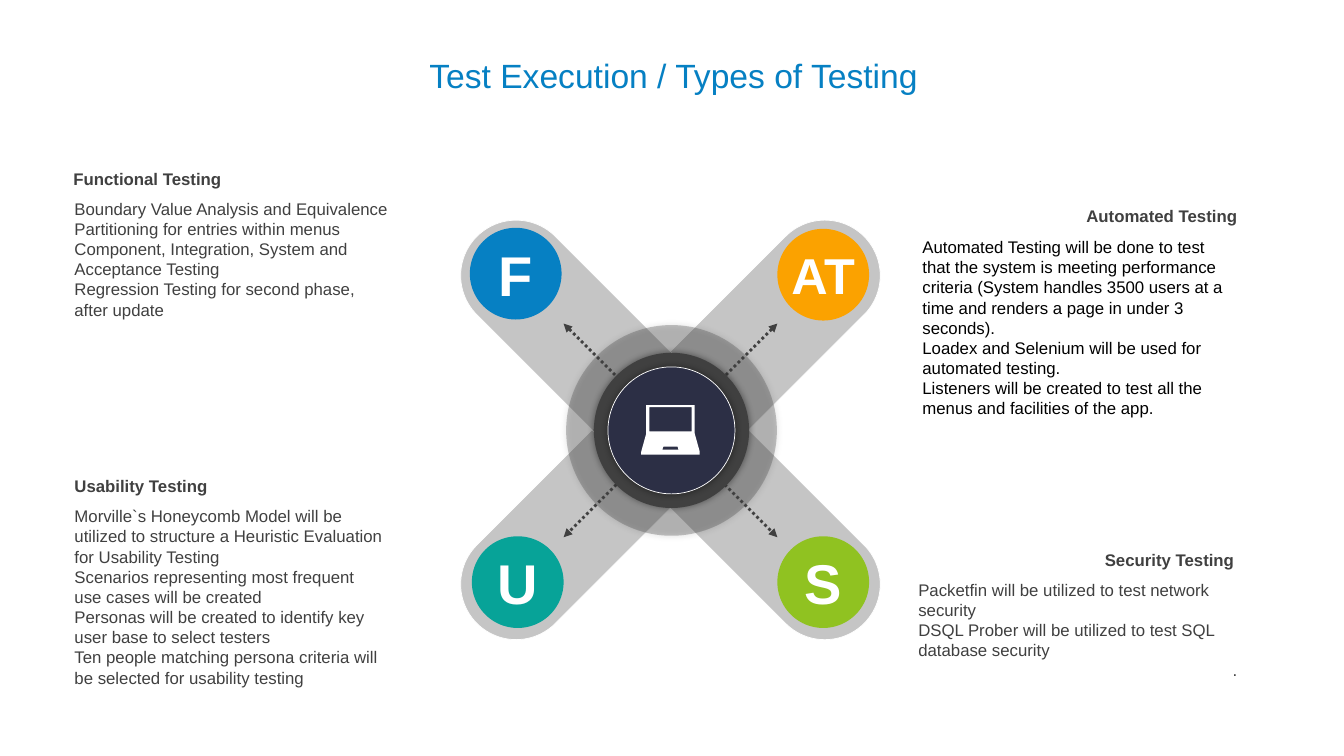
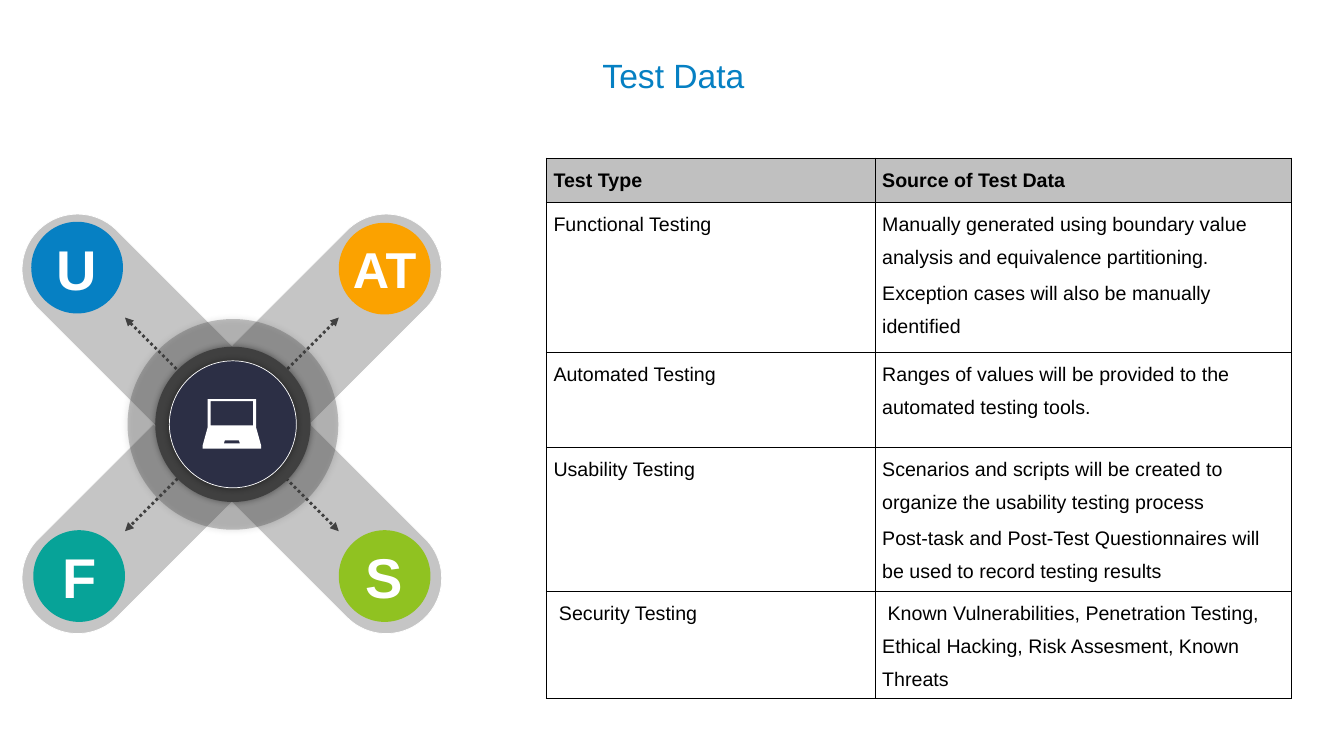
from lxml.etree import SubElement
from pptx import Presentation
from pptx.dml.color import RGBColor
from pptx.enum.dml import MSO_LINE
from pptx.enum.shapes import MSO_CONNECTOR, MSO_SHAPE as SHAPE
from pptx.enum.text import MSO_ANCHOR as ANCHOR, PP_ALIGN as ALIGN
from pptx.oxml.ns import qn
from pptx.util import Inches, Pt

FONT = "Arial"
BLUE, ORANGE, TEAL, GREEN = "0680C3", "FBA200", "07A398", "90C221"
DARK, NAVY, SILVER, WHITE, BLACK = "404040", "2C2F45", "C0C0C0", "FFFFFF", "000000"

BADGES = [(-1.99, -2.01, BLUE), (1.06, -2, ORANGE), (-1.97, 1.05, TEAL), (1.06, 1.05, GREEN)]

LAPTOP = [
    [(-7, 16), (-8, 19), (8, 19), (7, 16)],
    [(-21, -23), (-21, 1), (21, 1), (21, -23)],
    [(-24, -25), (24, -25), (24, 3), (29, 21), (29, 24), (-29, 24), (-29, 21), (-24, 3)],
]

NOTES = [
    ("Functional Testing", (0.63, 1.62), (0.64, 1.92, 3.36, 1.31), ALIGN.LEFT, DARK, [
        "Boundary Value Analysis and Equivalence Partitioning for entries within menus",
        "Component, Integration, System and Acceptance Testing",
        "Regression Testing for second phase, after update"]),
    ("Usability Testing", (0.64, 4.67), (0.64, 4.97, 3.29, 1.92), ALIGN.LEFT, DARK, [
        "Morville`s Honeycomb Model will be utilized to structure a Heuristic Evaluation "
        "for Usability Testing",
        "Scenarios representing most frequent use cases will be created",
        "Personas will be created to identify key user base to select testers",
        "Ten people matching persona criteria will be selected for usability testing"]),
    ("Security Testing", (9.01, 5.4), (9.01, 5.7, 3.36, 1.11), ALIGN.RIGHT, DARK, [
        "Packetfin will be utilized to test network security",
        "DSQL Prober will be utilized to test SQL database security",
        "."]),
    ("Automated Testing", (9.04, 1.99), (9.05, 2.3, 3.29, 1.92), ALIGN.RIGHT, BLACK, [
        "Automated Testing will be done to test that the system is meeting performance "
        "criteria (System handles 3500 users at a time and renders a page in under 3 seconds).",
        "Loadex and Selenium will be used for automated testing.",
        "Listeners will be created to test all the menus and facilities of the app."]),
]

ROWS = [
    ("Test Type", ["Source of Test Data"]),
    ("Functional Testing", [
        "Manually generated using boundary value analysis and equivalence partitioning.",
        "Exception cases will also be manually identified"]),
    ("Automated Testing", [
        "Ranges of values will be provided to the automated testing tools."]),
    ("Usability Testing", [
        "Scenarios and scripts will be created to organize the usability testing process",
        "Post-task and Post-Test Questionnaires will be used to record testing results"]),
    (" Security Testing", [
        " Known Vulnerabilities, Penetration Testing, Ethical Hacking, Risk Assesment, "
        "Known Threats"]),
]


def rgb(color):
    return RGBColor.from_string(color)


class Deck:
    """Holds the shared style and the slide being drawn."""

    def __init__(self):
        self.prs = Presentation()
        self.prs.slide_width, self.prs.slide_height = Inches(13.33), Inches(7.5)

    def slide(self, title):
        self.s = self.prs.slides.add_slide(self.prs.slide_layouts[6])
        tf = self.text((0.35, 0.37, 12.66, 0.79), [title], 24, BLUE, align=ALIGN.CENTER)
        tf.vertical_anchor = ANCHOR.MIDDLE
        p = tf.paragraphs[0]
        p.line_spacing, p.space_before = 0.9, Pt(10)

    def fill_text(self, tf, lines, size, color, bold=False, align=ALIGN.LEFT):
        tf.text = "\n".join(lines)
        for p in tf.paragraphs:
            p.alignment = align
            for r in p.runs:
                r.font.name, r.font.size, r.font.bold = FONT, Pt(size), bold
                r.font.color.rgb = rgb(color)
        return tf

    def text(self, box, lines, size, color, bold=False, align=ALIGN.LEFT):
        tf = self.s.shapes.add_textbox(*map(Inches, box)).text_frame
        tf.word_wrap = True
        return self.fill_text(tf, lines, size, color, bold, align)

    def paint(self, sp, fill, line=None, alpha=None, glow=False):
        sp.fill.solid()
        sp.fill.fore_color.rgb = rgb(fill)
        if alpha:
            clr = sp.element.spPr.find(qn("a:solidFill"))[0]
            SubElement(clr, qn("a:alpha"), val=str(alpha * 1000))
        if line:
            sp.line.color.rgb, sp.line.width = rgb(line), Pt(0.5)
        else:
            sp.line.fill.background()
        sp.shadow.inherit = False
        if glow:
            effects = sp.element.spPr.find(qn("a:effectLst"))
            shadow = SubElement(effects, qn("a:outerShdw"), blurRad=str(Pt(5)), dist="0", dir="0")
            clr = SubElement(shadow, qn("a:srgbClr"), val=BLACK)
            SubElement(clr, qn("a:alpha"), val="40000")
        return sp

    def shape(self, kind, box, fill, **style):
        return self.paint(self.s.shapes.add_shape(kind, *map(Inches, box)), fill, **style)

    def disc(self, cx, cy, size, fill, **style):
        self.shape(SHAPE.OVAL, (cx - size / 2, cy - size / 2, size, size), fill, glow=True, **style)

    def arrow(self, x1, y1, x2, y2):
        cn = self.s.shapes.add_connector(MSO_CONNECTOR.STRAIGHT, *map(Inches, (x1, y1, x2, y2)))
        cn.line.color.rgb, cn.line.width = rgb(DARK), Pt(2)
        cn.line.dash_style = MSO_LINE.ROUND_DOT
        ln = cn.element.spPr.find(qn("a:ln"))
        for end in ("a:headEnd", "a:tailEnd"):
            SubElement(ln, qn(end), type="triangle")
        SubElement(cn.element.spPr, qn("a:effectLst"))

    def badge(self, x, y, letters, fill):
        sp = self.shape(SHAPE.OVAL, (x, y, 0.91, 0.91), fill)
        tf = self.fill_text(sp.text_frame, [letters], 36 if len(letters) > 1 else 40, WHITE, True,
                            ALIGN.CENTER)
        tf.word_wrap, tf.vertical_anchor = False, ANCHOR.MIDDLE
        tf.margin_left = tf.margin_right = tf.margin_top = tf.margin_bottom = 0

    def laptop(self, cx, cy):
        first, *others = LAPTOP
        fb = self.s.shapes.build_freeform(*first[0], scale=Inches(0.01))
        fb.add_line_segments(first[1:], close=True)
        for outline in others:
            fb.move_to(*outline[0])
            fb.add_line_segments(outline[1:], close=True)
        self.paint(fb.convert_to_shape(Inches(cx), Inches(cy)), WHITE)

    def hub(self, cx, cy, labels):
        for angle in (45, 315):
            arm = self.shape(SHAPE.ROUNDED_RECTANGLE, (cx - 0.55, cy - 2.72, 1.1, 5.43), DARK,
                             line=WHITE, alpha=30)
            arm.adjustments[0], arm.rotation = 0.5, angle
        self.disc(cx + 0.01, cy, 2.09, DARK, alpha=30)
        for dx in (-1.06, 1.06):
            self.arrow(cx + dx, cy - 1.06, cx - dx, cy + 1.06)
        self.disc(cx + 0.01, cy, 1.54, DARK)
        self.disc(cx + 0.01, cy, 1.26, NAVY, line=WHITE)
        for letters, (dx, dy, fill) in zip(labels, BADGES):
            self.badge(cx + dx, cy + dy, letters, fill)
        self.laptop(cx, cy)

    def note(self, heading, at, box, align, color, lines):
        self.text((*at, 3.33, 0.3), [heading], 12, DARK, True, align)
        tf = self.text(box, lines, 12, color)
        if lines[-1] == ".":
            tf.paragraphs[-1].alignment = ALIGN.RIGHT

    def cell(self, cell, lines, header):
        cell.margin_left = cell.margin_right = Inches(0.07)
        cell.margin_top = cell.margin_bottom = 0
        self.fill_text(cell.text_frame, lines, 14, BLACK, header)
        for p in cell.text_frame.paragraphs:
            p.line_spacing, p.space_before, p.space_after = 1.5, Pt(1), Pt(1)
        tcPr = cell._tc.get_or_add_tcPr()
        for side in ("a:lnL", "a:lnR", "a:lnT", "a:lnB"):
            ln = SubElement(tcPr, qn(side), w=str(Pt(1)))
            SubElement(SubElement(ln, qn("a:solidFill")), qn("a:srgbClr"), val=BLACK)
        if header:
            cell.fill.solid()
            cell.fill.fore_color.rgb = rgb(SILVER)
        else:
            cell.fill.background()

    def table(self, box, widths, heights, rows):
        tbl = self.s.shapes.add_table(len(rows), len(widths), *map(Inches, box)).table
        tbl.first_row = tbl.horz_banding = False
        for col, width in zip(tbl.columns, widths):
            col.width = Inches(width)
        for i, (height, (kind, source)) in enumerate(zip(heights, rows)):
            tbl.rows[i].height = Inches(height)
            self.cell(tbl.cell(i, 0), [kind], i == 0)
            self.cell(tbl.cell(i, 1), source, i == 0)


def main():
    deck = Deck()
    deck.slide("Test Execution / Types of Testing")
    deck.hub(6.65, 4.27, ["F", "AT", "U", "S"])
    for note in NOTES:
        deck.note(*note)

    deck.slide("Test Data")
    deck.hub(2.3, 4.21, ["U", "AT", "F", "S"])
    deck.table((5.42, 1.57, 7.39, 5.36), (3.26, 4.13), (0.44, 1.49, 0.94, 1.43, 1.06), ROWS)
    deck.prs.save("out.pptx")


if __name__ == "__main__":
    main()
